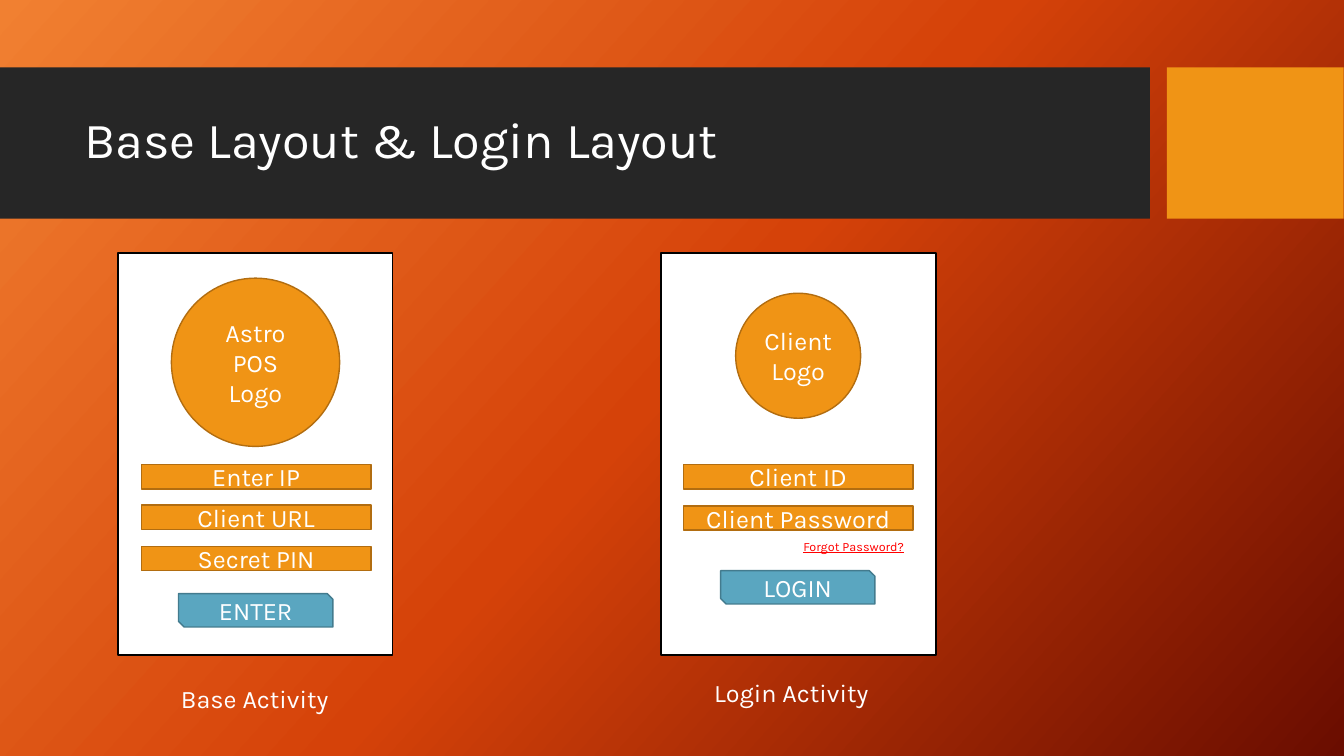
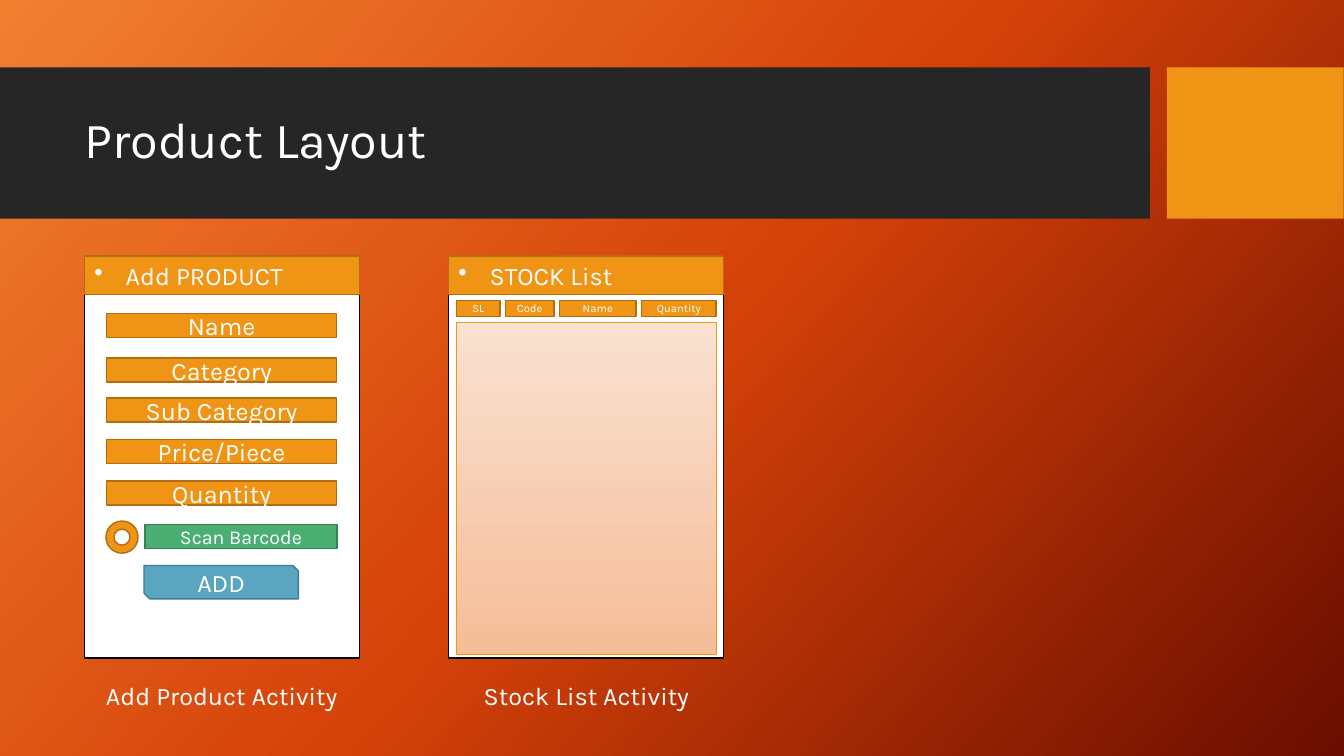
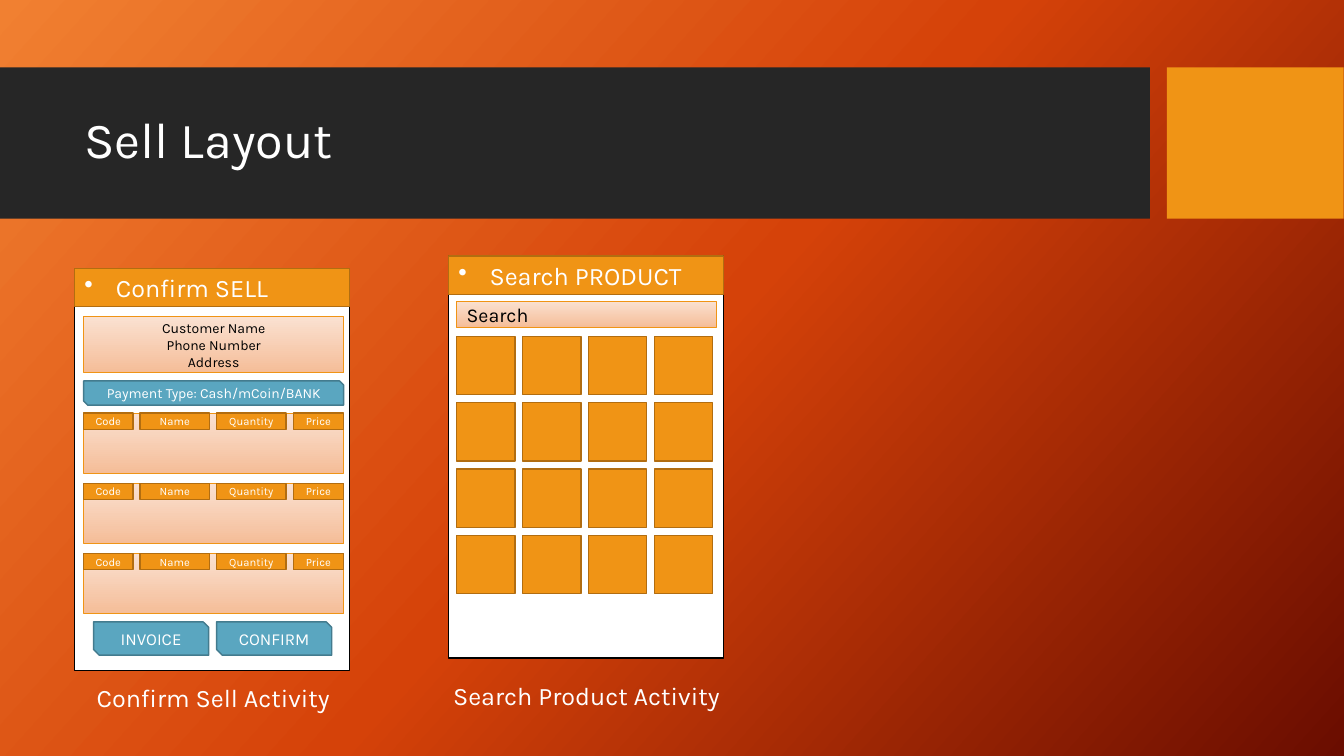
from copy import deepcopy

from lxml import etree
from pptx import Presentation
from pptx import util as u
from pptx.dml.color import RGBColor
from pptx.enum import shapes, text
from pptx.oxml.ns import qn

WHITE = RGBColor(0xFF, 0xFF, 0xFF)
BLACK = RGBColor(0x00, 0x00, 0x00)
RED = RGBColor(0xFF, 0x00, 0x00)
DARK = RGBColor(0x26, 0x26, 0x26)
AMBER = RGBColor(0xF0, 0x94, 0x15)
BROWN = RGBColor(0xB2, 0x6D, 0x10)
BLUE = RGBColor(0x5A, 0xA6, 0xC0)
NAVY = RGBColor(0x43, 0x7B, 0x8E)
GREEN = RGBColor(0x4B, 0xAF, 0x73)
MOSS = RGBColor(0x37, 0x81, 0x55)
PALE = (RGBColor(0xFA, 0xE1, 0xD1), RGBColor(0xF5, 0xBD, 0x98))
FLAME = (RGBColor(0xF1, 0x80, 0x31), RGBColor(0xD5, 0x42, 0x09), RGBColor(0x6A, 0x0D, 0x00))

FONT = "Karla"
RECT = shapes.MSO_SHAPE.RECTANGLE
SNIP = shapes.MSO_SHAPE.SNIP_2_DIAG_RECTANGLE
OVAL = shapes.MSO_SHAPE.OVAL
RING = shapes.MSO_SHAPE.DONUT
LEFT = text.PP_ALIGN.LEFT
MID = text.PP_ALIGN.CENTER
RIGHT = text.PP_ALIGN.RIGHT


def say(shape, words, size=18, ink=WHITE, side=MID):
    frame = shape.text_frame
    frame.word_wrap = True
    for i, line in enumerate(words.split("\n")):
        para = frame.add_paragraph() if i else frame.paragraphs[0]
        para.alignment = side
        run = para.add_run()
        run.text = line
        run.font.name = FONT
        run.font.size = u.Pt(size)
        run.font.color.rgb = ink
    return para


def draw(slide, kind, x, y, w, h, fill=AMBER, edge=BROWN):
    shape = slide.shapes.add_shape(kind, u.Cm(x), u.Cm(y), u.Cm(w), u.Cm(h))
    shape.shadow.inherit = False
    if fill is PALE:
        shape.fill.gradient()
        shape.fill.gradient_angle = 270
        for stop, tone in zip(shape.fill.gradient_stops, PALE):
            stop.color.rgb = tone
    else:
        shape.fill.solid()
        shape.fill.fore_color.rgb = fill
    if edge is None:
        shape.line.fill.background()
    else:
        shape.line.color.rgb = edge
        shape.line.width = u.Pt(0.75 if fill is PALE else 1)
    return shape


deck = Presentation()
deck.slide_width, deck.slide_height = u.Cm(33.87), u.Cm(19.05)

back = deck.slide_master.background.fill
back.gradient()
back.gradient_angle = 318
stops = deck.slide_master.element.find(".//" + qn("a:gsLst"))
stops.append(deepcopy(stops[0]))
for i, (stop, tone) in enumerate(zip(back.gradient_stops, FLAME)):
    stop.position = i / 2
    stop.color.rgb = tone

for title in ("Base Layout & Login Layout", "Product Layout", "Sell Layout"):
    slide = deck.slides.add_slide(deck.slide_layouts[6])
    draw(slide, RECT, 0, 1.7, 28.98, 3.81, DARK, None)
    draw(slide, RECT, 29.41, 1.7, 4.45, 3.81, AMBER, None)
    box = slide.shapes.add_textbox(u.Cm(1.88), u.Cm(2.08), u.Cm(26.7), u.Cm(3))
    box.text_frame.vertical_anchor = text.MSO_ANCHOR.MIDDLE
    say(box, title, 36, side=LEFT).line_spacing = 0.9
login, stock, sell = deck.slides

for slide, x, y, head, name, left, top, wide in (
    (login, 2.97, 6.38, "", "Base Activity", 2.51, 17.09, 7.82),
    (login, 16.66, 6.38, "", "Login Activity", 16.03, 16.94, 7.82),
    (stock, 2.13, 6.45, "Add PRODUCT", "Add Product Activity", 1.68, 17.02, 7.82),
    (stock, 11.3, 6.45, "STOCK List", "Stock List Activity", 10.87, 17.02, 7.82),
    (sell, 1.88, 6.76, "Confirm SELL", "Confirm Sell Activity", 1.12, 17.07, 8.51),
    (sell, 11.3, 6.45, "Search PRODUCT", "Search Product Activity", 10.87, 17.02, 7.82),
):
    draw(slide, RECT, x, y, 6.93, 10.13, WHITE, BLACK)
    if head:
        para = say(draw(slide, RECT, x, y, 6.93, 0.97), head, side=LEFT)
        props = para._p.get_or_add_pPr()
        props.set("marL", str(int(u.Cm(0.79))))
        props.set("indent", str(int(u.Cm(-0.79))))
        etree.SubElement(props, qn("a:buChar")).set("char", "•")
    box = slide.shapes.add_textbox(u.Cm(left), u.Cm(top), u.Cm(wide), u.Cm(1.02))
    say(box, name)

for slide, x, rows in (
    (login, 3.56, ((11.71, "Enter IP"), (12.73, "Client URL"), (13.77, "Secret PIN"))),
    (login, 17.22, ((11.71, "Client ID"), (12.75, "Client Password"))),
    (stock, 2.69, ((7.9, "Name"), (9.02, "Category"), (10.03, "Sub Category"),
                   (11.07, "Price/Piece"), (12.12, "Quantity"))),
):
    for y, name in rows:
        say(draw(slide, RECT, x, y, 5.79, 0.61), name)

for slide, x, y, w, h, name, size in (
    (login, 4.5, 14.96, 3.89, 0.84, "ENTER", 18),
    (login, 18.16, 14.38, 3.89, 0.84, "LOGIN", 18),
    (stock, 3.63, 14.25, 3.89, 0.84, "ADD", 18),
    (sell, 2.36, 15.67, 2.9, 0.84, "INVOICE", 12),
    (sell, 5.46, 15.67, 2.9, 0.84, "CONFIRM", 12),
    (sell, 2.11, 9.6, 6.55, 0.61, "Payment Type: Cash/mCoin/BANK", 10),
):
    say(draw(slide, SNIP, x, y, w, h, BLUE, NAVY), name, size)

for x, y, size, name in ((4.32, 7.01, 4.24, "Astro POS Logo"), (18.54, 7.39, 3.15, "Client Logo")):
    say(draw(login, OVAL, x, y, size, size), name)
box = login.shapes.add_textbox(u.Cm(19.96), u.Cm(13.46), u.Cm(3.07), u.Cm(0.64))
say(box, "Forgot Password?", 9, RED, RIGHT).runs[0].font.underline = True

say(draw(stock, RECT, 3.66, 13.21, 4.83, 0.61, GREEN, MOSS), "Scan Barcode", 14)
draw(stock, RING, 2.67, 13.13, 0.81, 0.81)

items = (("SL", 1.09), ("Code", 1.22), ("Name", 1.93), ("Quantity", 1.88))
goods = (("Code", 1.24), ("Name", 1.75), ("Quantity", 1.75), ("Price", 1.27))
tables = [(stock, 11.51, 7.57, 8.13, 8.36, 0.14, items)]
for i in range(3):
    y = 10.41 + 1.77 * i
    tables.append((sell, 2.11, y, y, 1.52, 0.18, goods))
for slide, x, y, top, high, gap, cols in tables:
    draw(slide, RECT, x, top, 6.55, high, PALE, AMBER)
    for name, wide in cols:
        say(draw(slide, RECT, x, y, wide, 0.41), name, 8)
        x += wide + gap

buyer = draw(sell, RECT, 2.11, 7.98, 6.55, 1.42, PALE, AMBER)
say(buyer, "Customer Name\nPhone Number\nAddress", 10, BLACK)
say(draw(sell, RECT, 11.51, 7.59, 6.55, 0.66, PALE, AMBER), "Search", 14, BLACK, LEFT)
for row in range(4):
    for col in range(4):
        draw(sell, RECT, 11.51 + 1.66 * col, 8.48 + 1.67 * row, 1.47, 1.47)

deck.save("out.pptx")
